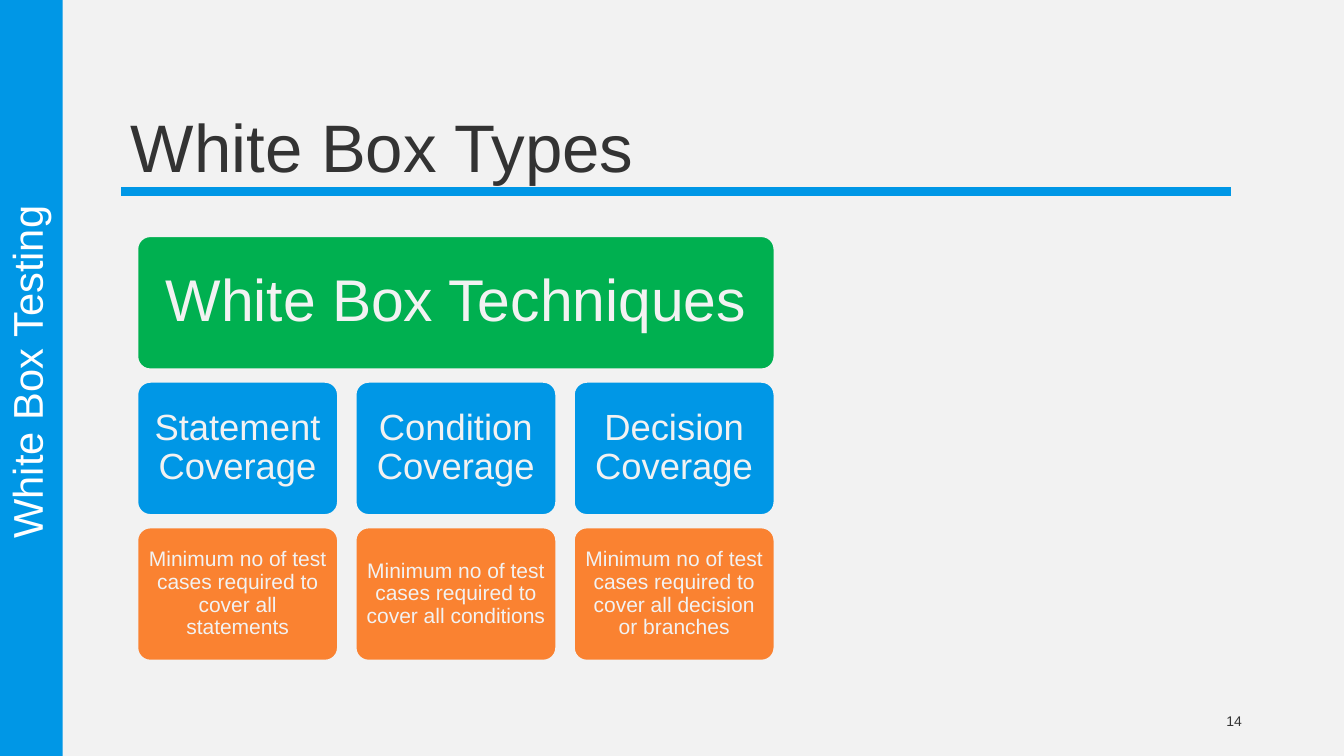
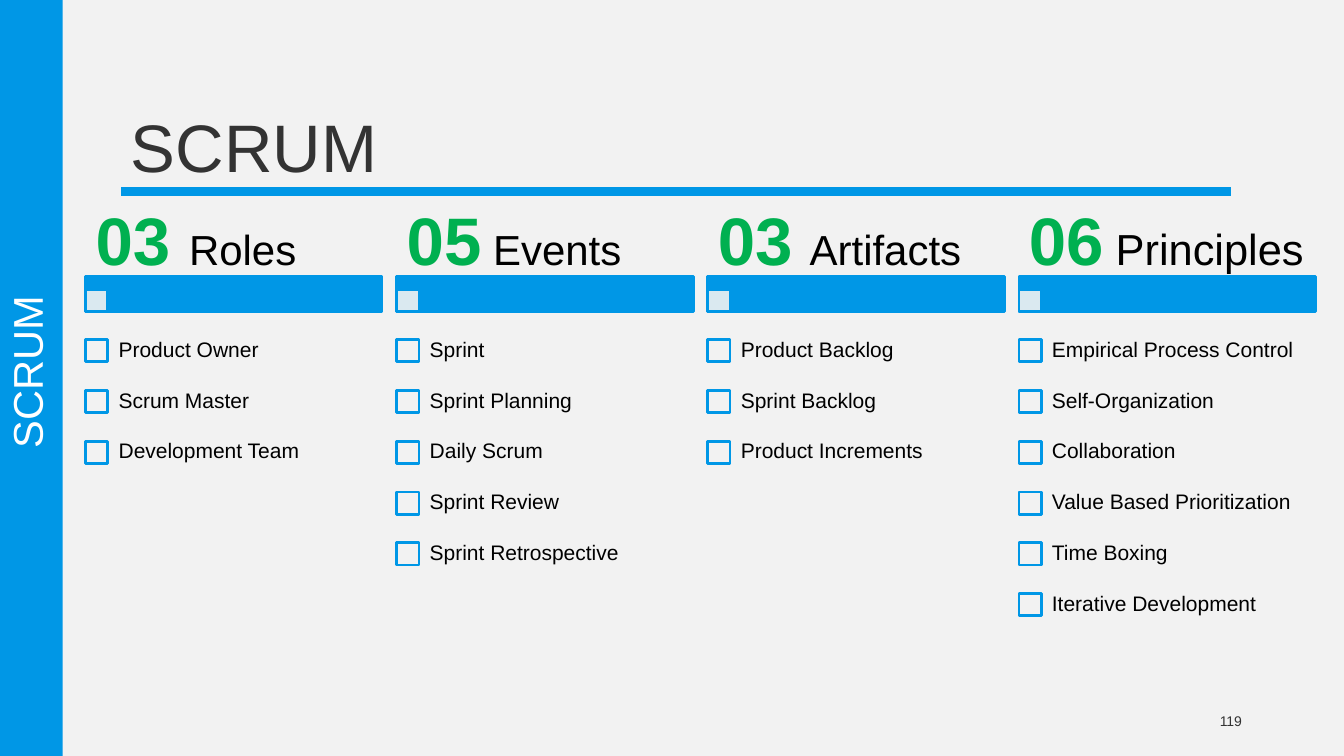
from lxml import etree
from pptx import Presentation
from pptx.dml.color import RGBColor
from pptx.enum.shapes import MSO_CONNECTOR, MSO_SHAPE
from pptx.enum.text import MSO_ANCHOR, MSO_AUTO_SIZE, PP_ALIGN
from pptx.oxml.ns import qn
from pptx.util import Cm, Pt

BLUE = RGBColor(0x00, 0x97, 0xE6)
GREEN = RGBColor(0x00, 0xB0, 0x50)
ORANGE = RGBColor(0xFA, 0x82, 0x31)
PALE = RGBColor(0xF2, 0xF2, 0xF2)
WHITE = RGBColor(0xFF, 0xFF, 0xFF)
DARK = RGBColor(0x33, 0x33, 0x33)
BLACK = RGBColor(0x00, 0x00, 0x00)
RECT, ROUNDED = MSO_SHAPE.RECTANGLE, MSO_SHAPE.ROUNDED_RECTANGLE
STRAIGHT = MSO_CONNECTOR.STRAIGHT
LEFT, CENTER, RIGHT = PP_ALIGN.LEFT, PP_ALIGN.CENTER, PP_ALIGN.RIGHT
MIDDLE, BOTTOM = MSO_ANCHOR.MIDDLE, MSO_ANCHOR.BOTTOM
NO_FIT = MSO_AUTO_SIZE.NONE
WIDTH, HEIGHT = 33.87, 19.05


class Deck:
    """Holds the shared style and the current slide; lengths are in centimetres."""

    font = "Arial"
    band_width = 1.58
    title_box = (3.05, 0.79, 27.94, 4.04)
    number_box = (23.93, 17.65, 7.62, 1.02)
    rule = (3.05, 4.83, 31.01, 4.83)

    def __init__(self):
        self.prs = Presentation()
        self.prs.slide_width, self.prs.slide_height = Cm(WIDTH), Cm(HEIGHT)
        fill = self.prs.slide_master.background.fill
        fill.solid()
        fill.fore_color.rgb = PALE
        self.layout = self.prs.slide_layouts.get_by_name("Title Only")
        self.s = None

    def new_slide(self, title, section, number):
        first = self.s is None
        self.s = self.prs.slides.add_slide(self.layout)
        if first:
            self.furnish_layout()
        sp = self.s.shapes.title
        sp.left, sp.top, sp.width, sp.height = map(Cm, self.title_box)
        self.fill_text(sp, [(title, 48, DARK)], LEFT, BOTTOM, spacing=0.85)
        self.text(self.number_box, [(number, 10, DARK)], RIGHT, spacing=1)
        length, depth = 17.12, 1.27
        box = ((self.band_width - length) / 2, 8.74, length, depth)
        sp = self.text(box, [(section, 29.7, WHITE)], CENTER, BOTTOM, spacing=0.85)
        sp.rotation = 270

    def furnish_layout(self):
        for holder in list(self.layout.placeholders)[1:]:
            holder.element.getparent().remove(holder.element)
        band = self.shape(RECT, (0, 0, self.band_width, HEIGHT), BLUE)
        for item in (band, self.line(*self.rule, BLUE, 6)):
            self.layout.shapes.element.append(item.element)

    def line(self, x1, y1, x2, y2, color, weight):
        sp = self.s.shapes.add_connector(STRAIGHT, *map(Cm, (x1, y1, x2, y2)))
        sp.line.color.rgb = color
        sp.line.width = Pt(weight)
        etree.SubElement(sp.element.spPr, qn("a:effectLst"))
        return sp

    def shape(self, kind, box, fill, outline=None, opacity=100):
        sp = self.s.shapes.add_shape(kind, *map(Cm, box))
        sp.shadow.inherit = False
        sp.fill.solid()
        sp.fill.fore_color.rgb = fill
        if opacity < 100:
            color = sp.element.spPr.find(qn("a:solidFill"))[0]
            etree.SubElement(color, qn("a:alpha"), val=str(opacity * 1000))
        if outline is None:
            sp.line.fill.background()
        else:
            sp.line.color.rgb = outline
            sp.line.width = Pt(2)
        return sp

    def card(self, box, fill, text, size, inset):
        sp = self.shape(ROUNDED, box, fill, PALE)
        sp.adjustments[0] = 0.1
        self.fill_text(sp, [(text, size, PALE)], CENTER, MIDDLE, (inset, inset))

    def text(self, box, runs, align=LEFT, anchor=MIDDLE, insets=(0.25, 0.13), spacing=0.9):
        sp = self.s.shapes.add_textbox(*map(Cm, box))
        self.fill_text(sp, runs, align, anchor, insets, spacing)
        return sp

    def fill_text(self, sp, runs, align, anchor, insets=(0.25, 0.13), spacing=0.9):
        tf = sp.text_frame
        tf.word_wrap, tf.auto_size, tf.vertical_anchor = True, NO_FIT, anchor
        tf.margin_left = tf.margin_right = Cm(insets[0])
        tf.margin_top = tf.margin_bottom = Cm(insets[1])
        p = tf.paragraphs[0]
        p.alignment, p.line_spacing = align, spacing
        for text, size, color, *bold in runs:
            r = p.add_run()
            r.text = text
            r.font.name, r.font.size, r.font.bold = self.font, Pt(size), bool(bold)
            r.font.color.rgb = color

    def checklist(self, x, heading, items):
        width, box = 7.47, 0.56
        self.shape(RECT, (x, 6.96, width, 0.89), BLUE, BLUE)
        self.shape(RECT, (x, 7.29, box, box), PALE, BLUE, opacity=90)
        self.text((x, 5.36, width, 1.57), heading, insets=(0.25, 0.18))
        for i, item in enumerate(items):
            y = 8.56 + 1.28 * i
            self.shape(RECT, (x, y, box, box), PALE, BLUE)
            self.text((x + 0.53, y - 0.36, 6.93, 1.27), [(item, 15, BLACK)],
                      insets=(0.3, 0.3))


def white_box_slide(deck):
    """Builds the tree of white box techniques."""
    deck.new_slide("White Box Types", "White Box Testing", "14")
    left, top, width, height = 3.45, 5.94, 5.08, 3.38
    column, row = 5.5, 3.67
    deck.card((left, top, 2 * column + width, height), GREEN, "White Box Techniques", 42, 0.43)
    techniques = [("Statement", "statements"), ("Condition", "conditions"),
                  ("Decision", "decision or branches")]
    for i, (name, target) in enumerate(techniques):
        x = left + i * column
        deck.card((x, top + row, width, height), BLUE, f"{name} Coverage", 26, 0.28)
        deck.card((x, top + 2 * row, width, height), ORANGE,
                  f"Minimum no of test cases required to cover all {target}", 15, 0.15)


def scrum_slide(deck):
    """Builds the four Scrum checklists."""
    deck.new_slide("SCRUM", "SCRUM", "119")
    columns = [
        ([("03 ", 48, GREEN, True), ("Roles", 30, BLACK)],
         ["Product Owner", "Scrum Master", "Development Team"]),
        ([("05", 48, GREEN, True), (" Events", 30, BLACK)],
         ["Sprint", "Sprint Planning", "Daily Scrum", "Sprint Review",
          "Sprint Retrospective"]),
        ([("03", 48, GREEN, True), (" ", 44, BLACK, True), ("Artifacts", 30, BLACK)],
         ["Product Backlog", "Sprint Backlog", "Product Increments"]),
        ([("06", 48, GREEN, True), (" Principles", 31, BLACK)],
         ["Empirical Process Control", "Self-Organization", "Collaboration",
          "Value Based Prioritization", "Time Boxing", "Iterative Development"]),
    ]
    for i, (heading, items) in enumerate(columns):
        deck.checklist(2.16 + 7.84 * i, heading, items)


def main():
    """Builds and saves the slides."""
    deck = Deck()
    white_box_slide(deck)
    scrum_slide(deck)
    deck.prs.save("out.pptx")


if __name__ == "__main__":
    main()
